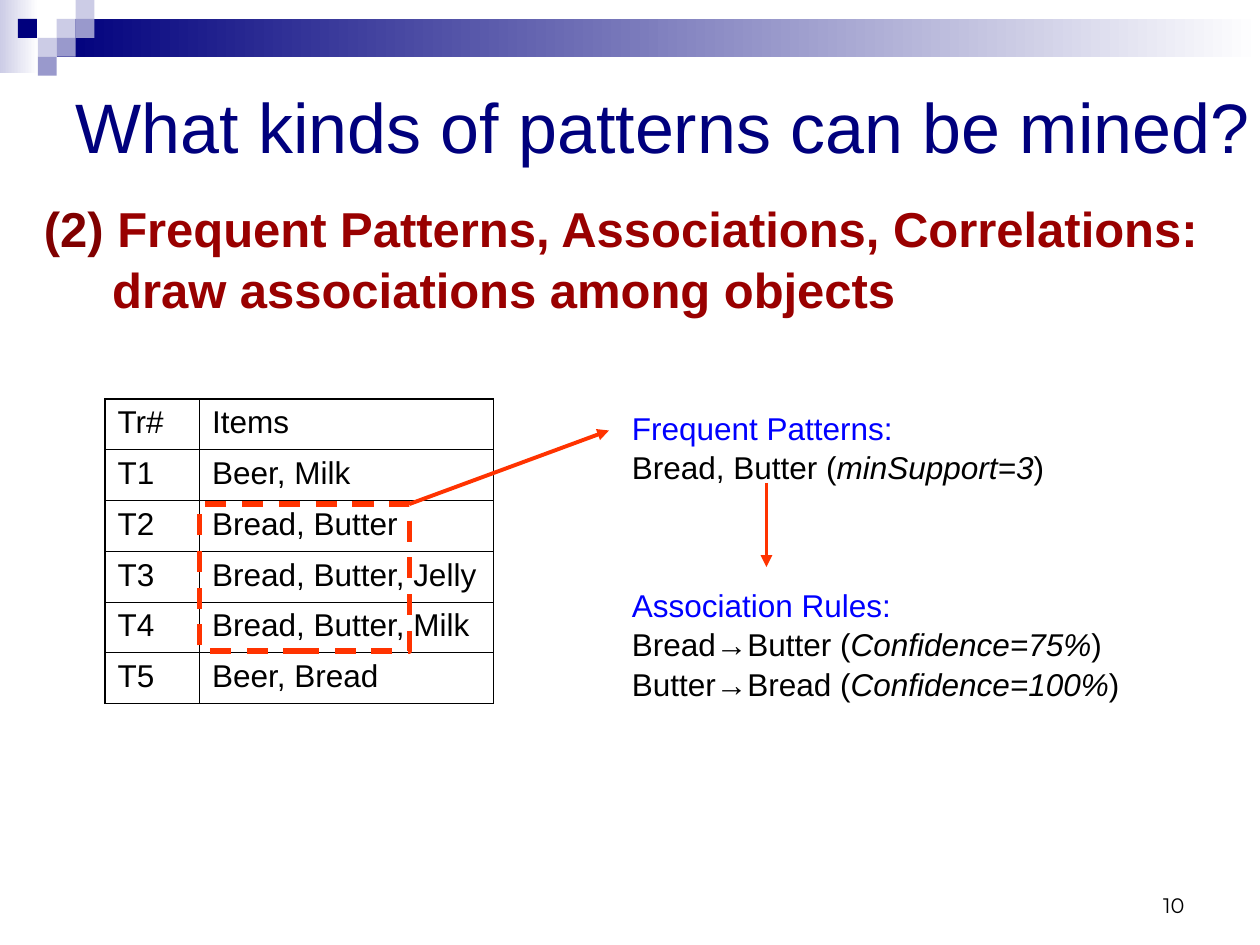
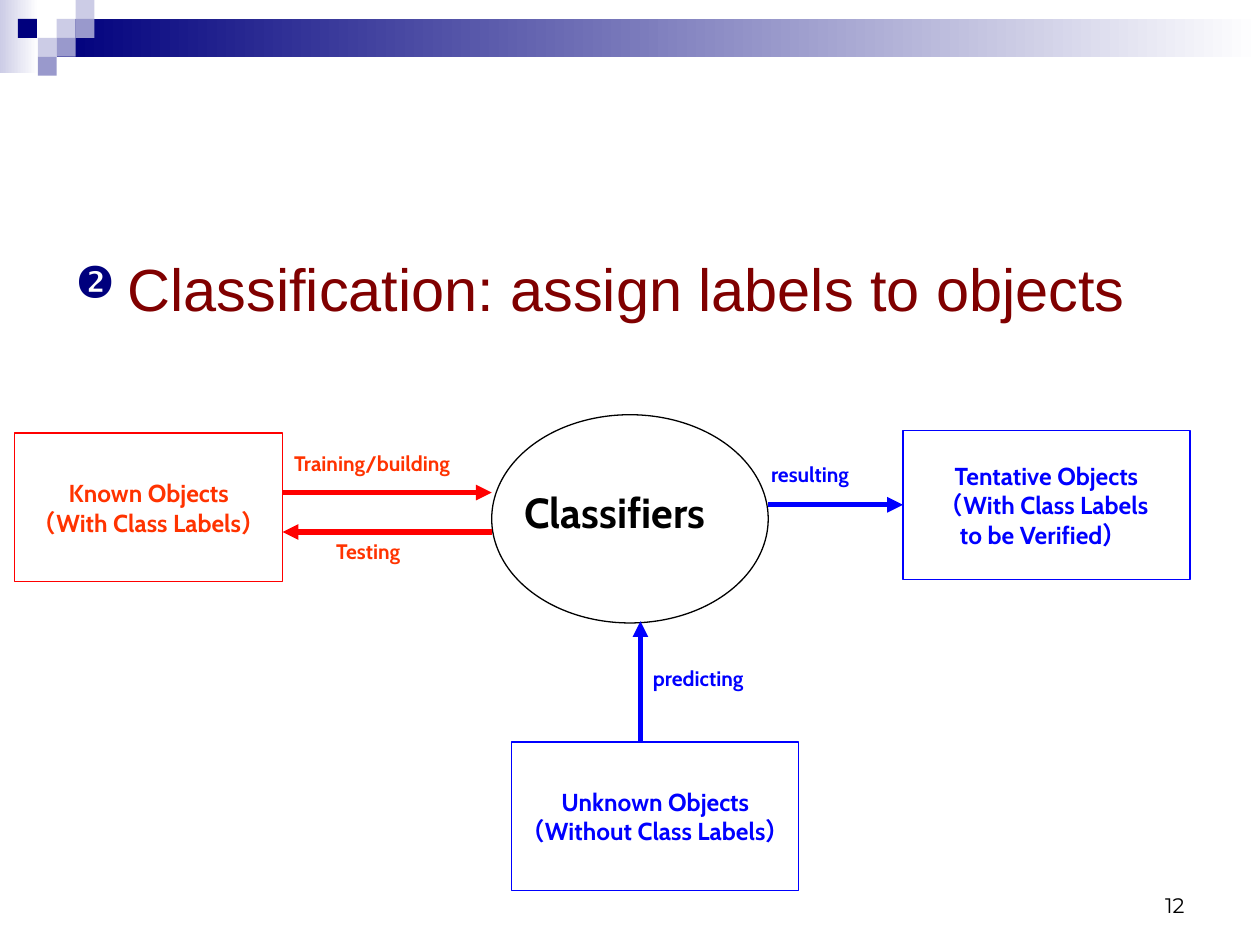
from lxml import etree
from pptx import Presentation
from pptx.dml.color import RGBColor
from pptx.enum.dml import MSO_LINE
from pptx.enum.shapes import MSO_CONNECTOR, MSO_SHAPE
from pptx.enum.text import MSO_ANCHOR, PP_ALIGN
from pptx.oxml.ns import qn
from pptx.util import Pt

RECT, OVAL = MSO_SHAPE.RECTANGLE, MSO_SHAPE.OVAL
STRAIGHT, DASH = MSO_CONNECTOR.STRAIGHT, MSO_LINE.DASH
TOP, MIDDLE, BOTTOM = MSO_ANCHOR.TOP, MSO_ANCHOR.MIDDLE, MSO_ANCHOR.BOTTOM
LEFT, CENTER, RIGHT = PP_ALIGN.LEFT, PP_ALIGN.CENTER, PP_ALIGN.RIGHT

NAVY, LILAC, MAUVE, WHITE = "00007D", "CCCCE6", "9999CC", "FFFFFF"
MAROON, DARK_RED, BLACK = "800000", "990000", "000000"
RED, ORANGE, BLUE = "FF0000", "FF3300", "0000FF"
BODY, LABEL, NUMBER = "Arial", "Cabin", "Montserrat"

TRANSACTIONS = [
    ("Tr#", "Items"),
    ("T1", "Beer, Milk"),
    ("T2", "Bread, Butter"),
    ("T3", "Bread, Butter, Jelly"),
    ("T4", "Bread, Butter, Milk"),
    ("T5", "Beer, Bread"),
]


def rgb(color):
    return RGBColor.from_string(color)


def write(tf, paras, size=18, font=BODY, color=BLACK, bold=False,
          align=LEFT, anchor=TOP, spacing=None, wrap=True):
    """Each paragraph is a string or a list of (text, overrides) runs."""
    tf.word_wrap = wrap
    tf.vertical_anchor = anchor
    for i, runs in enumerate(paras):
        p = tf.add_paragraph() if i else tf.paragraphs[0]
        p.alignment = align
        if spacing:
            p.line_spacing = spacing
        for content, own in [(runs, {})] if isinstance(runs, str) else runs:
            r = p.add_run()
            r.text = content
            r.font.name, r.font.size = font, Pt(size)
            r.font.bold = bold
            r.font.italic = own.get("italic", False)
            r.font.color.rgb = rgb(own.get("color", color))


def text(s, box, paras, **fmt):
    tf = s.shapes.add_textbox(*map(Pt, box)).text_frame
    write(tf, paras, **fmt)
    return tf


def shape(s, box, kind=RECT, fill=None, line=None, width=0.75):
    sp = s.shapes.add_shape(kind, *map(Pt, box))
    sp.shadow.inherit = False
    if fill:
        sp.fill.solid()
        sp.fill.fore_color.rgb = rgb(fill)
    else:
        sp.fill.background()
    if line:
        sp.line.color.rgb = rgb(line)
        sp.line.width = Pt(width)
    else:
        sp.line.fill.background()
    return sp


def fade(s, box, color):
    sp = shape(s, box)
    sp.fill.gradient()
    sp.fill.gradient_angle = 0
    for stop, c in zip(sp.fill.gradient_stops, (color, WHITE)):
        stop.color.rgb = rgb(c)


def arrow(s, x1, y1, x2, y2, color, width):
    c = s.shapes.add_connector(STRAIGHT, *map(Pt, (x1, y1, x2, y2)))
    c.line.color.rgb = rgb(color)
    c.line.width = Pt(width)
    etree.SubElement(c.line._get_or_add_ln(), qn("a:tailEnd"), type="triangle")
    etree.SubElement(c._element.spPr, qn("a:effectLst"))
    return c


def set_indent(p, left, first):
    pPr = p._p.get_or_add_pPr()
    pPr.set("marL", str(Pt(left)))
    pPr.set("indent", str(Pt(first)))
    return pPr


def set_bullet(p, char, color, percent, hang):
    pPr = set_indent(p, hang, -hang)
    clr = etree.SubElement(pPr, qn("a:buClr"))
    etree.SubElement(clr, qn("a:srgbClr"), val=color)
    etree.SubElement(pPr, qn("a:buSzPct"), val=str(percent * 1000))
    etree.SubElement(pPr, qn("a:buChar"), char=char)


def set_borders(cell, widths):
    tcPr = cell._tc.get_or_add_tcPr()
    for i, (side, width) in enumerate(zip(("lnL", "lnR", "lnT", "lnB"), widths)):
        ln = etree.Element(qn("a:" + side), w=str(Pt(width)))
        fill = etree.SubElement(ln, qn("a:solidFill"))
        etree.SubElement(fill, qn("a:srgbClr"), val=BLACK)
        tcPr.insert(i, ln)


def new_slide(prs, number):
    s = prs.slides.add_slide(prs.slide_layouts[6])
    # Top band with its mosaic of squares
    fade(s, (0, 0, 22, 42), LILAC)
    fade(s, (32.4, 10.8, 687.6, 21.6), NAVY)
    side = 10.8
    for col, row, color in [(3, 1, LILAC), (4, 0, LILAC), (4, 1, MAUVE),
                            (2, 2, LILAC), (0.95, 1, NAVY), (3, 2, MAUVE),
                            (2, 3, MAUVE)]:
        shape(s, (col * side, row * side, side, side), fill=color)
    # Page number
    text(s, (516, 492, 168, 36), [str(number)], size=12, font=NUMBER,
         align=RIGHT, anchor=BOTTOM)
    return s


def transaction_table(s, x, y):
    col_widths, row_height = (54, 168), 29
    rows, cols = len(TRANSACTIONS), len(col_widths)
    table = s.shapes.add_table(rows, cols, Pt(x), Pt(y), Pt(sum(col_widths)),
                               Pt(rows * row_height)).table
    table.first_row = table.horz_banding = False
    for c, width in enumerate(col_widths):
        table.columns[c].width = Pt(width)
    for r, record in enumerate(TRANSACTIONS):
        table.rows[r].height = Pt(row_height)
        for c, value in enumerate(record):
            cell = table.cell(r, c)
            write(cell.text_frame, [value])
            cell.fill.background()
            outer = (c == 0, c == cols - 1, r == 0, r == rows - 1)
            set_borders(cell, [1.08 if edge else 0.45 for edge in outer])
    # Dashed frame around the frequent items
    frame = shape(s, (x + 54, y + 60, 120, 84), line=ORANGE, width=3)
    frame.line.dash_style = DASH


def mining_results(s, x, y):
    def rule(start, measure):
        return [(start + " (", {}), (measure, {"italic": True}), (")", {})]

    def heading(title):
        return [(title, {"color": BLUE})]

    text(s, (x, y, 250, 50),
         [heading("Frequent Patterns:"), rule("Bread, Butter", "minSupport=3")],
         spacing=1.05)
    text(s, (x, y + 101, 318, 72),
         [heading("Association Rules:"),
          rule("Bread→Butter", "Confidence=75%"),
          rule("Butter→Bread", "Confidence=100%")], spacing=1.05)
    arrow(s, x + 84, y + 47, x + 84, y + 95, ORANGE, 2.25)


def patterns_slide(prs):
    s = new_slide(prs, 10)
    text(s, (36, 18, 696, 108), ["What kinds of patterns can be mined?"],
         size=40, color=NAVY, anchor=MIDDLE)
    tf = text(s, (18, 108, 702, 384),
              [[("(2) ", {"color": MAROON}),
                ("Frequent Patterns, Associations, Correlations:", {})],
               "draw associations among objects"],
              size=28, color=DARK_RED, bold=True, spacing=1.05)
    set_indent(tf.paragraphs[1], 39, 0)
    transaction_table(s, 60, 228)
    arrow(s, 234, 288, 348, 246, ORANGE, 2.25)
    mining_results(s, 354, 229)


def classifier_diagram(s, x, y):
    def objects(left, top, width, paras, line, color):
        sp = shape(s, (x + left, y + top, width, 85), line=line)
        write(sp.text_frame, paras, size=14, font=LABEL, color=color,
              bold=True, align=CENTER, anchor=MIDDLE, wrap=False)
        return sp

    def flow(x1, y1, x2, y2, color):
        return arrow(s, x + x1, y + y1, x + x2, y + y2, color, 3)

    # Objects and the classifier between them
    objects(0, 10.5, 153, ["Known Objects", "（With Class Labels）"], RED, ORANGE)
    shape(s, (x + 272.5, y, 158, 119), OVAL, line=BLACK)
    text(s, (x + 284, y + 37.5, 136, 36), ["Classifiers"], size=24, font=LABEL,
         bold=True)
    objects(284, 187, 164, ["Unknown Objects", "（Without Class Labels）"],
            BLUE, BLUE)
    tentative = objects(507.5, 9, 164, ["Tentative Objects",
                                        "（With Class Labels ",
                                        "to be Verified） "], BLUE, BLUE)
    # Flows
    flow(153, 44.5, 272.5, 44.5, RED)
    flow(272.5, 67, 153, 67, RED)
    flow(357.5, 186.5, 357.5, 118, BLUE)
    flow(430.5, 51.5, 507.5, 51.5, BLUE).end_connect(tentative, 1)
    # Flow labels
    for left, top, width, label, color in [
            (152.5, 17, 130, "Training/building", ORANGE),
            (176.5, 67, 100, "Testing", ORANGE),
            (357.5, 139.5, 76, "predicting", BLUE),
            (425, 23, 70, "resulting", BLUE)]:
        text(s, (x + left, y + top, width, 22), [label], size=12, font=LABEL,
             color=color, bold=True)


def classification_slide(prs):
    s = new_slide(prs, 12)
    tf = text(s, (36, 120, 642, 78),
              ["Classification: assign labels to objects"],
              size=34, color=MAROON, spacing=1.5)
    set_bullet(tf.paragraphs[0], "➋", NAVY, 75, 30)
    classifier_diagram(s, 8.5, 237)


def main():
    prs = Presentation()
    prs.slide_width, prs.slide_height = Pt(720), Pt(540)
    patterns_slide(prs)
    classification_slide(prs)
    prs.save("out.pptx")


if __name__ == "__main__":
    main()
